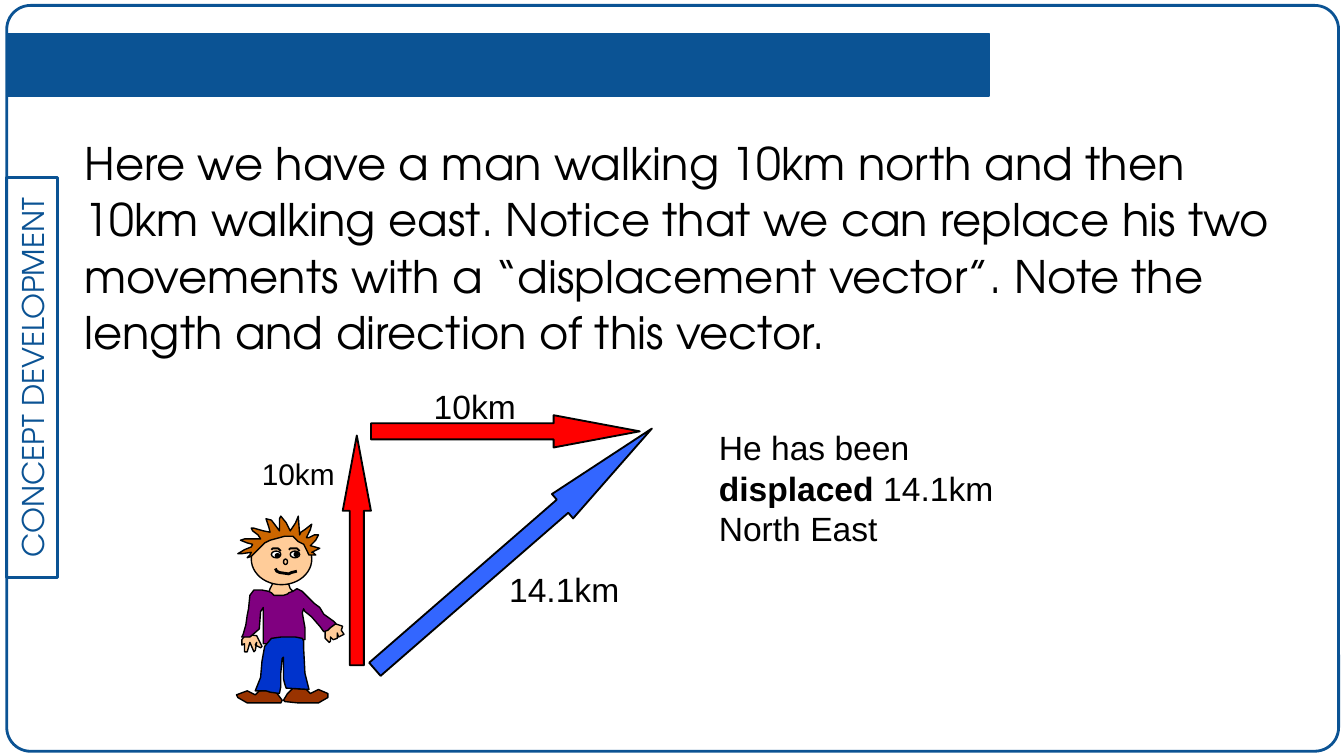
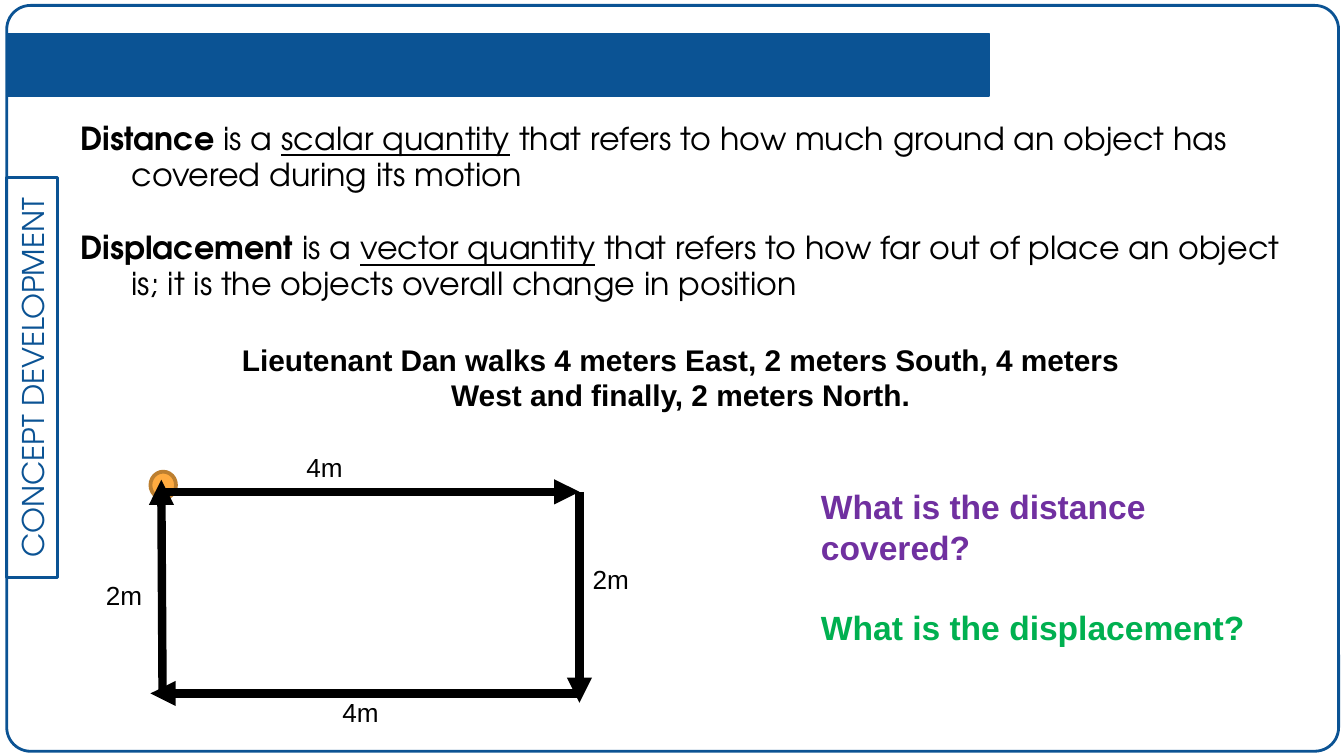
from lxml import etree
from pptx import Presentation
from pptx.dml.color import RGBColor
from pptx.enum.shapes import MSO_CONNECTOR, MSO_SHAPE
from pptx.enum.text import MSO_ANCHOR, PP_ALIGN
from pptx.oxml.ns import qn
from pptx.util import Pt

RECTANGLE = MSO_SHAPE.RECTANGLE
ROUNDED = MSO_SHAPE.ROUNDED_RECTANGLE
OVAL = MSO_SHAPE.OVAL
UP_ARROW = MSO_SHAPE.UP_ARROW
STRAIGHT = MSO_CONNECTOR.STRAIGHT
TOP, MIDDLE = MSO_ANCHOR.TOP, MSO_ANCHOR.MIDDLE
LEFT, CENTER = PP_ALIGN.LEFT, PP_ALIGN.CENTER

BLUE = RGBColor(0x0B, 0x53, 0x94)
BLACK = RGBColor(0, 0, 0)
WHITE = RGBColor(255, 255, 255)
RED = RGBColor(255, 0, 0)
VECTOR_BLUE = RGBColor(0x33, 0x66, 0xFF)
PURPLE = RGBColor(0x70, 0x30, 0xA0)
GREEN = RGBColor(0, 0xB0, 0x50)
ORANGE = RGBColor(0xFF, 0xAB, 0x40)
BRONZE = RGBColor(0xBD, 0x7F, 0x2F)
SKIN = RGBColor(0xFF, 0xCC, 0x99)
SHOE = RGBColor(0x99, 0x33, 0)
SHIRT = RGBColor(0x80, 0, 0x80)
TROUSERS = RGBColor(0, 0x33, 0xCC)
HAIR = RGBColor(0xCC, 0x66, 0)

HEADING_FONT = "TeX Gyre Adventor"
BODY_FONT = "Arial"
WIDE_INSETS = (7.2, 7.2)
FIGURE_UNIT = 0.72

LEFT_SHOE = [(17, 130), (14, 133), (8, 130), (0, 133), (1, 135), (8, 139), (23, 139),
             (33, 139), (34, 137), (31, 133), (27, 128)]
RIGHT_SHOE = [(52, 129), (55, 132), (61, 129), (68, 132), (68, 135), (61, 139), (46, 139),
              (36, 138), (35, 137), (38, 132), (42, 128)]
LEFT_HAND = [(7, 88), (4, 92), (4, 96), (6, 95), (6, 101), (8, 101), (10, 94), (13, 101),
             (14, 100), (15, 94), (14, 96), (18, 98), (19, 97), (15, 89)]
RIGHT_HAND = [(73, 80), (79, 82), (78, 85), (80, 88), (76, 90), (75, 87), (75, 91),
              (72, 92), (70, 90), (70, 93), (69, 94), (66, 91), (66, 81)]
NECK = [(42, 56), (40, 54), (39, 51), (37, 50), (27, 50), (25, 54), (24, 57), (25, 60),
        (29, 61), (38, 60), (41, 58)]
TORSO = [(42, 56), (39, 57), (38, 58), (35, 59), (28, 59), (26, 57), (24, 56), (19, 55),
         (13, 55), (10, 59), (9, 69), (8, 74), (7, 81), (5, 88), (4, 90), (10, 90),
         (17, 84), (18, 71), (20, 68), (20, 95), (24, 95), (34, 92), (51, 92), (51, 83),
         (49, 72), (50, 69), (51, 71), (56, 75), (62, 82), (65, 86), (68, 85), (70, 83),
         (74, 80), (72, 78), (65, 73), (62, 68), (58, 65), (52, 59), (49, 56), (45, 54)]
LEGS = [(50, 93), (50, 98), (51, 117), (54, 129), (37, 128), (36, 125), (35, 121),
        (35, 105), (34, 106), (33, 117), (33, 127), (32, 132), (25, 131), (22, 130),
        (14, 130), (18, 120), (19, 108), (21, 97), (26, 91), (33, 90), (44, 90), (49, 91)]
HAIR_SPIKES = [(54, 29), (59, 29), (57, 27), (56, 27), (62, 24), (55, 22), (59, 18),
               (61, 14), (58, 14), (54, 16), (52, 16), (55, 10), (56, 6), (51, 10),
               (48, 12), (47, 14), (46, 0), (44, 5), (40, 11), (37, 5), (33, 0), (32, 2),
               (32, 11), (29, 7), (26, 3), (22, 2), (24, 8), (25, 12), (20, 11), (13, 9),
               (11, 9), (12, 11), (16, 14), (18, 17), (6, 17), (3, 18), (8, 20), (12, 21),
               (11, 23), (6, 25), (1, 28), (4, 28), (11, 27), (10, 29), (8, 31), (11, 30),
               (14, 27), (16, 25), (21, 20), (25, 18), (36, 15), (42, 15), (46, 19),
               (50, 21), (52, 25)]
FACE = [(11, 13, 45, 38, SKIN), (40, 26, 7, 5, WHITE), (43, 27, 3, 3, BLACK),
        (26, 26, 7, 5, WHITE), (29, 28, 3, 3, BLACK), (35, 32, 3, 4, SKIN)]
RIGHT_BROW = [(47, 26), (45, 24), (43, 24), (40, 24), (39, 25)]
LEFT_BROW = [(33, 26), (31, 24), (29, 24), (27, 24), (26, 25)]
SMILE = [(45, 41), (41, 42), (39, 43), (32, 42), (30, 41), (29, 39)]


def paint(shape, fill, line, width):
    shape.shadow.inherit = False
    if fill is None:
        shape.fill.background()
    else:
        shape.fill.solid()
        shape.fill.fore_color.rgb = fill
    shape.line.color.rgb = line
    shape.line.width = Pt(width)


def add_preset(shapes, kind, box, fill=None, line=BLACK, width=1.0, rotation=0, adjustments=()):
    shape = shapes.add_shape(kind, *map(Pt, box))
    for index, value in enumerate(adjustments):
        shape.adjustments[index] = value
    shape.rotation = rotation
    paint(shape, fill, line, width)
    return shape


def write_text(shape, paragraphs, size=18, font=BODY_FONT, color=BLACK, bold=False,
               align=LEFT, anchor=TOP, insets=(7.2, 3.6), line_spacing=None, gap=0, hanging=None):
    frame = shape.text_frame
    frame.word_wrap = True
    frame.vertical_anchor = anchor
    frame.margin_left = frame.margin_right = Pt(insets[0])
    frame.margin_top = frame.margin_bottom = Pt(insets[1])
    if isinstance(paragraphs, str):
        paragraphs = [[(paragraphs, {})]]
    for index, runs in enumerate(paragraphs):
        paragraph = frame.add_paragraph() if index else frame.paragraphs[0]
        paragraph.alignment = align
        if index:
            paragraph.space_before = Pt(gap)
        if line_spacing:
            paragraph.line_spacing = line_spacing
        if hanging:
            properties = paragraph._p.get_or_add_pPr()
            properties.set("marL", str(Pt(hanging[0])))
            properties.set("indent", str(Pt(hanging[1])))
        for text, style in runs:
            run = paragraph.add_run()
            run.text = text
            run.font.size = Pt(size)
            run.font.name = font
            run.font.bold = style.get("bold", bold)
            run.font.underline = style.get("underline", False)
            run.font.color.rgb = style.get("color", color)


def add_text(slide, box, paragraphs, **style):
    write_text(slide.shapes.add_textbox(*map(Pt, box)), paragraphs, **style)


def add_arrow(slide, start, end):
    arrow = slide.shapes.add_connector(STRAIGHT, *map(Pt, start + end))
    arrow.line.color.rgb = BLACK
    arrow.line.width = Pt(4.5)
    etree.SubElement(arrow.line._get_or_add_ln(), qn("a:tailEnd"), type="triangle")
    etree.SubElement(arrow._element.spPr, qn("a:effectLst"))


def add_framed_slide(presentation):
    slide = presentation.slides.add_slide(presentation.slide_layouts[6])
    add_preset(slide.shapes, ROUNDED, (3.6, 2.9, 713.5, 399.6), line=BLUE, width=1.5,
               adjustments=[0.032])
    tab = add_preset(slide.shapes, RECTANGLE, (-90, 188.6, 214.6, 27.4), line=BLUE, width=1.5,
                     rotation=270)
    write_text(tab, "CONCEPT DEVELOPMENT", size=16, font=HEADING_FONT, color=BLUE,
               align=CENTER, anchor=MIDDLE, insets=WIDE_INSETS)
    add_preset(slide.shapes, RECTANGLE, (3.6, 18, 526.3, 33.5), fill=BLUE, line=BLUE, width=0.75)
    return slide


def add_walking_man(slide, left, top):
    shapes = slide.shapes.add_group_shape().shapes

    def outline(points, fill=None, width=0.75):
        builder = shapes.build_freeform(*points[0], scale=Pt(FIGURE_UNIT))
        builder.add_line_segments(points[1:], close=fill is not None)
        paint(builder.convert_to_shape(Pt(left), Pt(top)), fill, BLACK, width)

    for points, fill in [(LEFT_SHOE, SHOE), (RIGHT_SHOE, SHOE), (LEFT_HAND, SKIN),
                         (RIGHT_HAND, SKIN), (NECK, SKIN)]:
        outline(points, fill)
    for x, y, width, height, fill in FACE:
        box = (left + x * FIGURE_UNIT, top + y * FIGURE_UNIT,
               width * FIGURE_UNIT, height * FIGURE_UNIT)
        add_preset(shapes, OVAL, box, fill=fill, width=0.75)
    outline(TORSO, SHIRT)
    outline(LEGS, TROUSERS)
    outline(RIGHT_BROW, width=1)
    outline(LEFT_BROW, width=1)
    outline(HAIR_SPIKES, HAIR)
    outline(SMILE, width=1.5)


def add_vector_diagram(slide, left, top):
    add_walking_man(slide, left, top + 73.5)
    for x, y, width, height, rotation, fill, adjustments in [
        (56.9, 30.3, 15.1, 123.1, 0, RED, (0.5, 2.67)),
        (135.4, -43.9, 17.3, 144, 90, RED, (0.5, 2.67)),
        (139.7, -7.2, 17.3, 196.6, 49, VECTOR_BLUE, (0.54, 3.67)),
    ]:
        add_preset(slide.shapes, UP_ARROW, (left + x, top + y, width, height), fill=fill,
                   rotation=rotation, adjustments=adjustments)
    for text, x, y, size in [("10km", 98.6, 0, 18), ("10km", 6.5, 37.5, 16),
                             ("14.1km", 139, 98, 18)]:
        add_text(slide, (left + x, top + y, 77, 29), text, size=size)


def add_walk_diagram(slide, left, top):
    right, bottom = left + 224, top + 108
    add_preset(slide.shapes, OVAL, (left - 5.8, top - 10.8, 13.7, 14.4), fill=ORANGE,
               line=BRONZE, width=2)
    add_arrow(slide, (left, top), (right, top))
    add_arrow(slide, (right, top), (right, bottom + 5))
    add_arrow(slide, (right, bottom), (left - 5.8, bottom))
    add_arrow(slide, (left + 0.7, bottom), (left, top - 6.5))
    for text, x, y in [("4m", 70.6, -25.2), ("2m", 224, 34.6), ("4m", 90, 105.9),
                       ("2m", -36.7, 43.2)]:
        add_text(slide, (left + x, top + y, 168.5, 28.8), text, size=14)


def build_vector_slide(presentation):
    slide = add_framed_slide(presentation)
    add_text(slide, (38.2, 61.2, 651.6, 141.1),
             "Here we have a man walking 10km north and then 10km walking east. "
             "Notice that we can replace his two movements with a “displacement vector”. "
             "Note the length and direction of this vector.",
             size=24, font=HEADING_FONT, anchor=MIDDLE, insets=WIDE_INSETS, line_spacing=1.05)
    add_vector_diagram(slide, 126.7, 203)
    add_text(slide, (378, 225.4, 202.3, 72.7),
             [[("He has been ", {}), ("displaced ", {"bold": True}), ("14.1km North East", {})]])


def build_distance_slide(presentation):
    slide = add_framed_slide(presentation)
    definitions = [
        [("Distance", {"bold": True}), (" is a ", {}), ("scalar quantity", {"underline": True}),
         (" that refers to how much ground an object has covered during its motion", {})],
        [("Displacement ", {"bold": True}), ("is a ", {}),
         ("vector quantity", {"underline": True}),
         (" that refers to how far out of place an object is; "
          "it is the objects overall change in position", {})],
    ]
    add_text(slide, (27.4, 54, 676, 119.5), definitions, size=17, font=HEADING_FONT,
             anchor=MIDDLE, insets=WIDE_INSETS, line_spacing=0.95, gap=19.8, hanging=(36, -27.4))
    add_text(slide, (108, 179.3, 513.4, 46),
             "Lieutenant Dan walks 4 meters East, 2 meters South, 4 meters West "
             "and finally, 2 meters North.", size=16, bold=True, align=CENTER)
    add_text(slide, (432.7, 257, 247, 94.3),
             [[("What is the distance covered?", {"color": PURPLE})],
              [("What is the displacement?", {"color": GREEN})]], bold=True, gap=21.6)
    add_walk_diagram(slide, 86.4, 263.5)


def main():
    presentation = Presentation()
    presentation.slide_width, presentation.slide_height = Pt(720), Pt(405)
    build_vector_slide(presentation)
    build_distance_slide(presentation)
    presentation.save("out.pptx")


if __name__ == "__main__":
    main()
